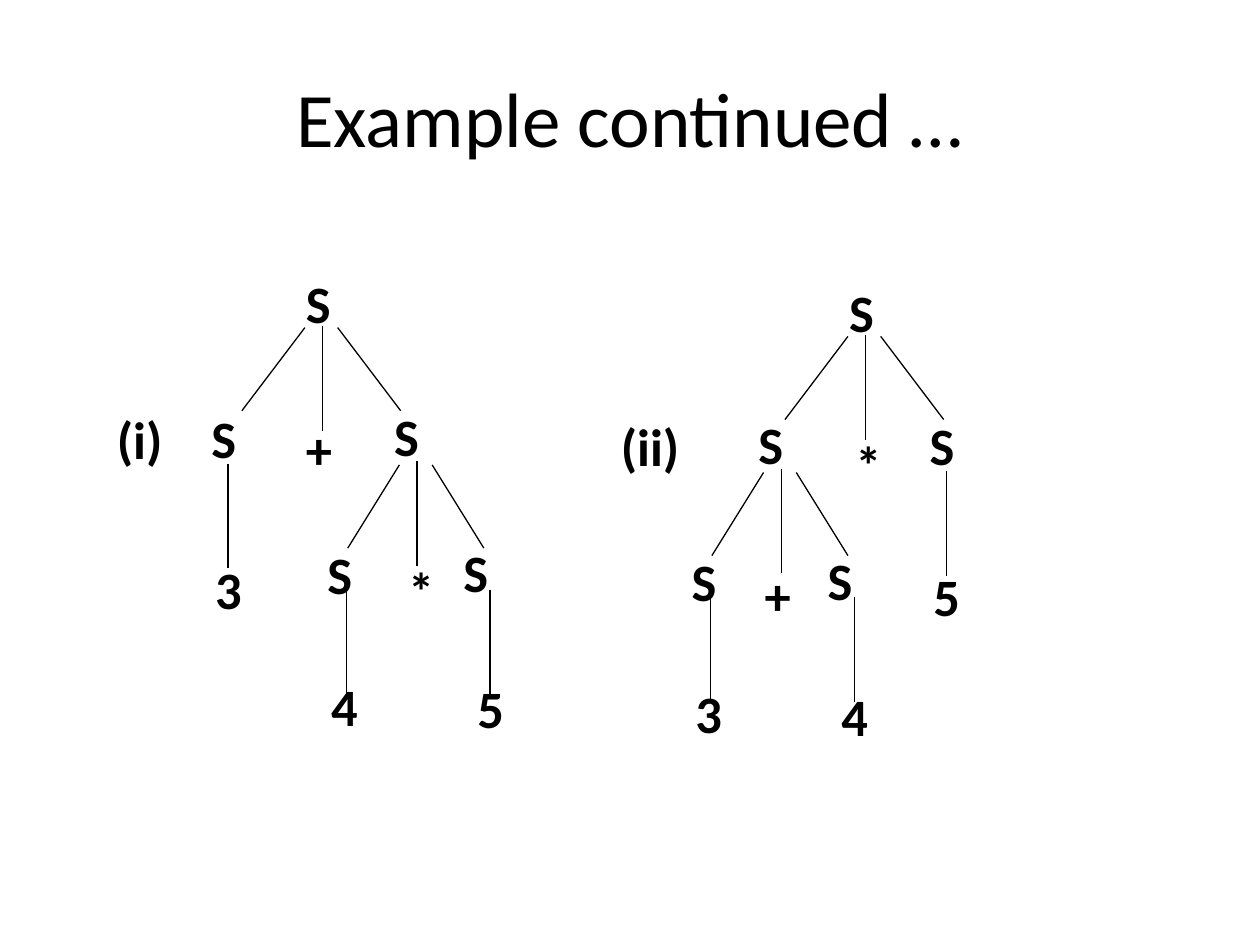
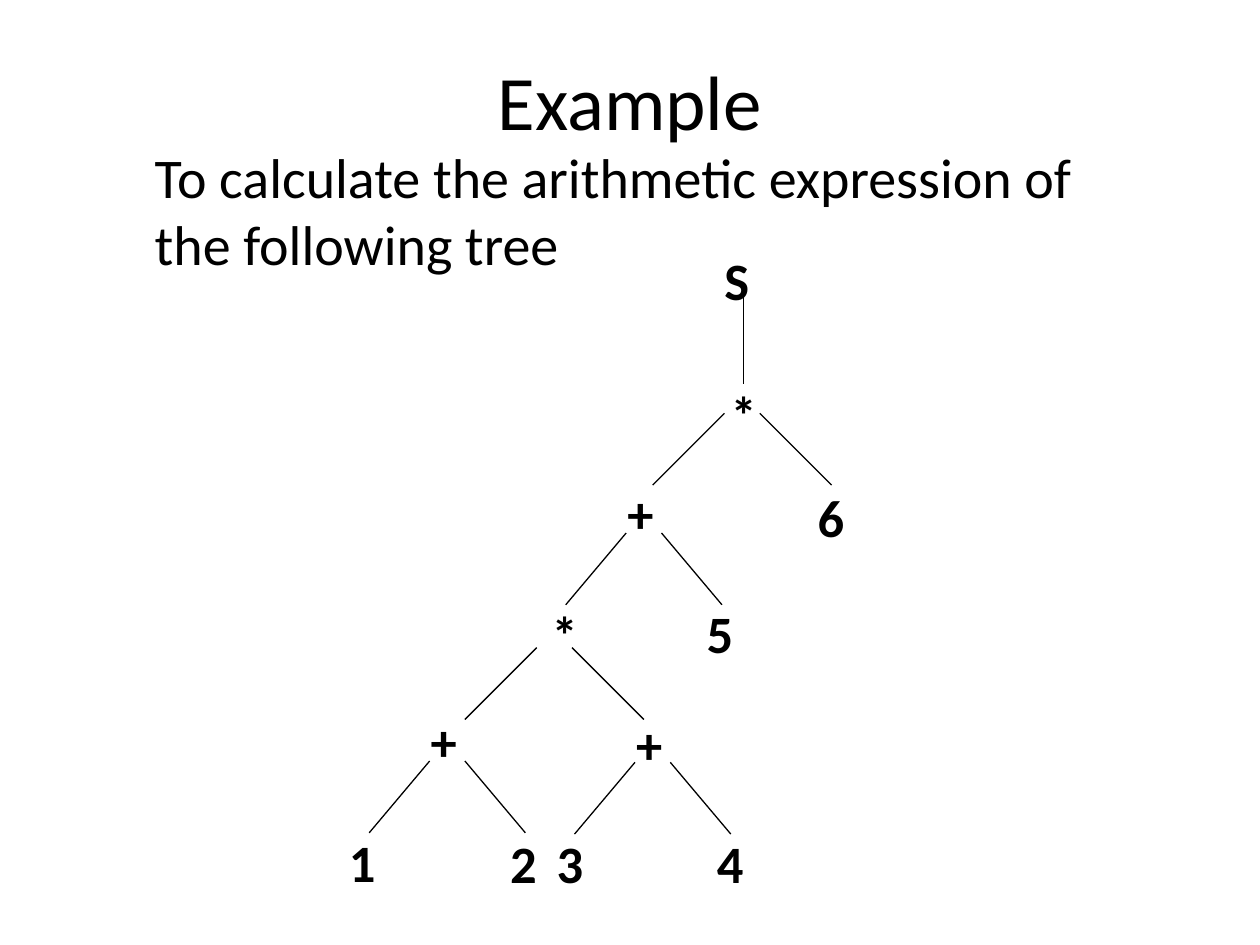
"""Build two slides of expression trees."""
from collections import namedtuple
from lxml import etree
from pptx import Presentation
from pptx import util as u
from pptx.dml.color import RGBColor
from pptx.enum import shapes, text
from pptx.oxml.ns import qn

Theme = namedtuple("Theme", "font ink title body node line")
theme = Theme("Calibri", RGBColor(0, 0, 0), u.Pt(44), u.Pt(32), u.Pt(30), u.Pt(0.75))


def write(tf, words, size, bold=False):
    tf.word_wrap = True
    p = tf.paragraphs[0]
    r = p.add_run()
    r.text = words
    r.font.name, r.font.size, r.font.bold = theme.font, size, bold
    r.font.color.rgb = theme.ink
    return p


def draw(group, labels, lines):
    for words, x, y, w in labels:
        sp = group.shapes.add_textbox(*map(u.Inches, (x, y, w, 0.6)))
        write(sp.text_frame, words, theme.node, True)
        sp.text_frame.auto_size = text.MSO_AUTO_SIZE.SHAPE_TO_FIT_TEXT
    for ends in lines:
        sp = group.shapes.add_connector(shapes.MSO_CONNECTOR.STRAIGHT, *map(u.Inches, ends))
        sp.line.color.rgb, sp.line.width = theme.ink, theme.line
        etree.SubElement(sp._element.spPr, qn("a:effectLst"))


prs = Presentation()
prs.slide_width, prs.slide_height = u.Inches(10), u.Inches(7.5)

slides = []
for title, x, y, w in [("Example continued …", 0.5, 0.3, 9), ("Example", 0.75, 0.17, 8.5)]:
    s = prs.slides.add_slide(prs.slide_layouts[5])
    sp = s.shapes.title
    sp.left, sp.top, sp.width, sp.height = map(u.Inches, (x, y, w, 1.25))
    sp.text_frame.vertical_anchor = text.MSO_ANCHOR.MIDDLE
    write(sp.text_frame, title, theme.title).alignment = text.PP_ALIGN.CENTER
    slides.append(s)

node_w, leaf_w = 0.92, 1.33
parse_trees = [
    (("(i)", 0.83, 3.18), (2.33, 2.1), (3.03, 3.16), (1.58, 3.17),
     ("+", 2.33, 3.26), ("*", 3.14, 4.38), "453"),
    (("(ii)", 4.83, 3.24), (6.64, 2.17), (5.92, 3.22), (7.28, 3.23),
     ("*", 6.69, 3.38), ("+", 5.97, 4.42), "345"),
]
for caption, root, inner, single, root_op, inner_op, leaves in parse_trees:
    (ix, iy), (sx, sy) = inner, single
    labels = [(*caption, leaf_w), (*root_op, node_w), (*inner_op, node_w)]
    for x, y in (root, inner, single, (ix - 0.53, iy + 1.09), (ix + 0.55, iy + 1.08)):
        labels.append(("S", x, y, node_w))
    leaf_places = ((ix - 0.5, iy + 2.14), (ix + 0.66, iy + 2.16), (sx + 0.03, sy + 1.2))
    for leaf, (x, y) in zip(leaves, leaf_places):
        labels.append((leaf, x, y, leaf_w))
    lines = []
    for x, y, run in ((root[0] + 0.22, root[1] + 0.5, 0.5), (ix + 0.27, iy + 0.53, 0.41)):
        for side in (-1, 1):
            lines.append((x + side * 0.13, y, x + side * (0.13 + run), y + 0.66))
    for x, y in ((root[0] + 0.23, root[1] + 0.49), (ix + 0.28, iy + 0.5),
                 (sx + 0.23, sy + 0.51), (ix - 0.28, iy + 1.53), (ix + 0.86, iy + 1.52)):
        lines.append((x, y, x, y + 0.83))
    draw(slides[0].shapes.add_group_shape(), labels, lines)

s = slides[1]
sp = s.shapes.add_textbox(*map(u.Inches, (0.75, 1.08, 8.5, 4.5)))
p = write(sp.text_frame, "To calculate the arithmetic expression of the following tree", theme.body)
p._p.get_or_add_pPr().set("marL", str(u.Inches(0.38)))

labels = [(words, x, y, 1.05) for words, x, y in (
    ("S", 5.65, 1.92), ("*", 5.7, 2.98), ("+", 4.88, 3.77), ("5", 5.51, 4.72),
    ("*", 4.28, 4.73), ("+", 3.32, 5.58), ("+", 4.95, 5.6),
    ("1", 2.67, 6.54), ("2", 3.95, 6.55), ("3", 4.32, 6.55), ("4", 5.59, 6.55))]
labels.append(("6", 6.39, 3.8, 1.52))
lines = [(5.9, 2.34, 5.9, 3.05)]
for x, y, run in ((5.89, 3.28, 0.57), (5.11, 4.23, 0.48), (4.4, 5.14, 0.57),
                  (3.55, 6.04, 0.48), (5.18, 6.05, 0.48)):
    for side in (-1, 1):
        lines.append((x + side * 0.14, y, x + side * (0.14 + run), y + 0.57))
draw(s.shapes.add_group_shape(), labels, lines)

prs.save("out.pptx")
